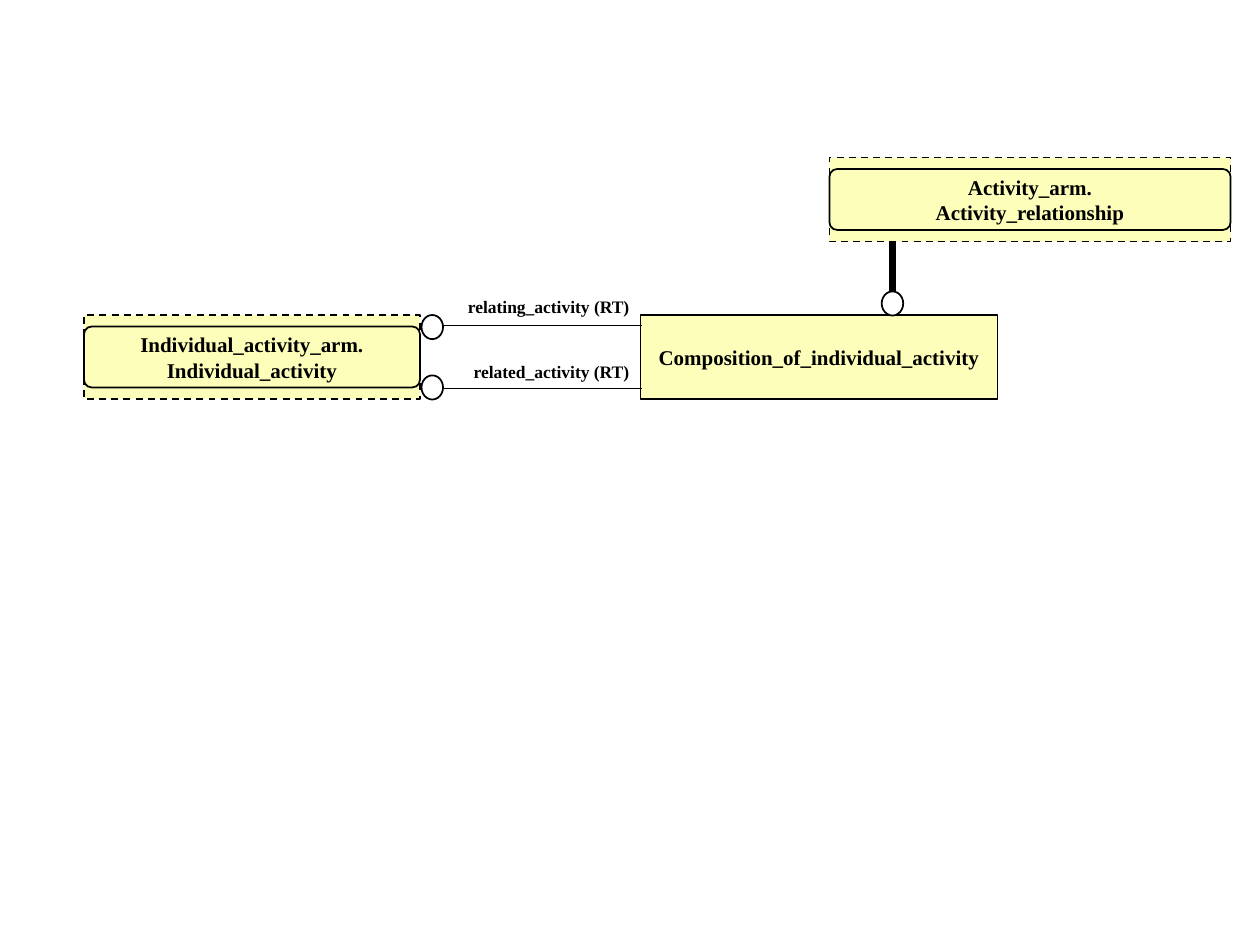
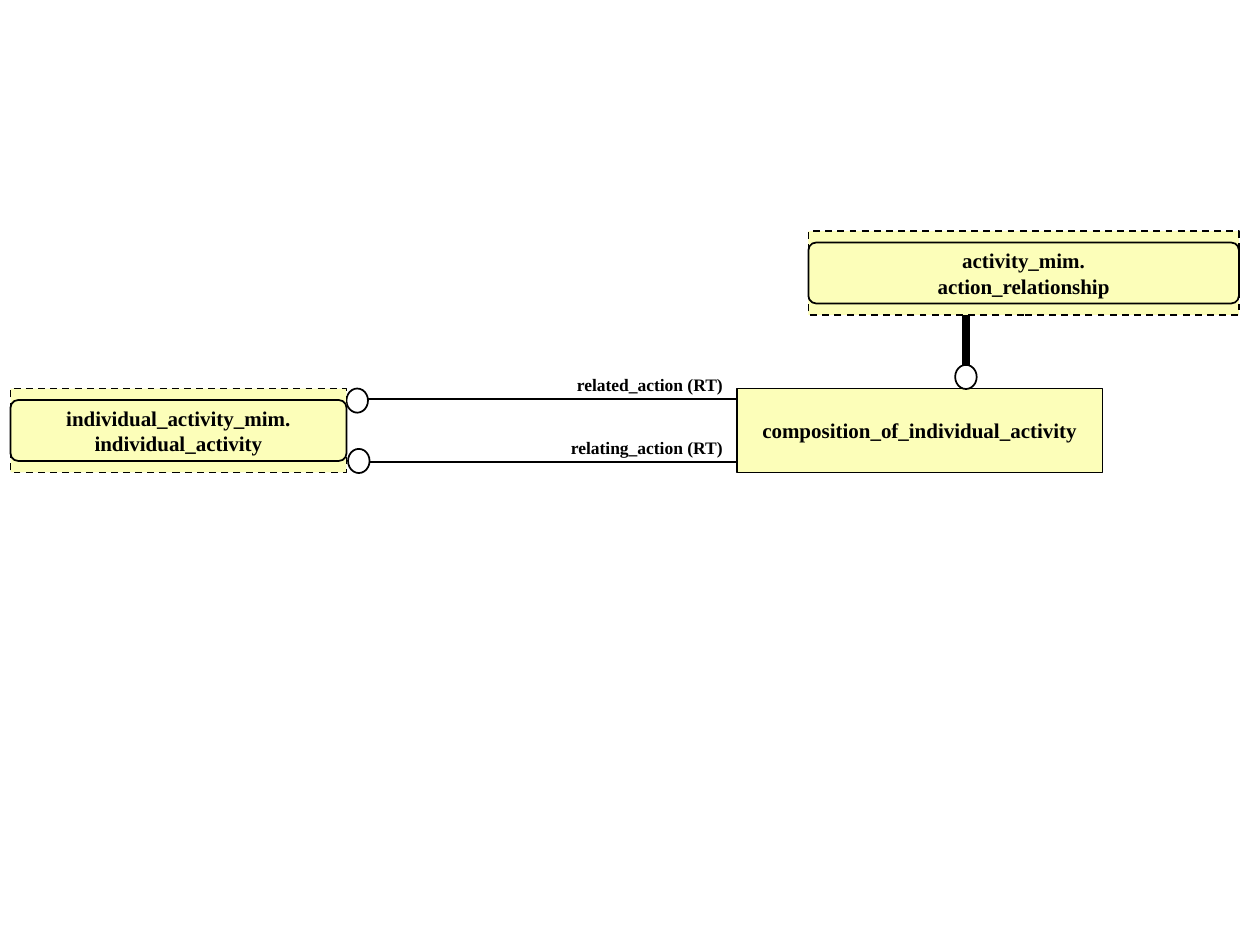
from lxml import etree
from pptx import Presentation, util as u
from pptx.dml.color import RGBColor
from pptx.enum import dml, shapes, text
from pptx.oxml import ns

BLACK = RGBColor(0x00, 0x00, 0x00)
WHITE = RGBColor(0xFF, 0xFF, 0xFF)
CREAM = RGBColor(0xFC, 0xFE, 0xB9)
FONT = "Times New Roman"
COLUMNS, ROWS = 120, 90
BOX_ROWS = 8
FRAME_INSET = 1.1
CIRCLE_COLUMNS, CIRCLE_ROWS = 2.05, 2.3


class Diagram:
    def __init__(self, presentation):
        self.presentation = presentation
        self.column = presentation.slide_width / COLUMNS
        self.row = presentation.slide_height / ROWS
        self.slide = None

    def new_slide(self):
        self.slide = self.presentation.slides.add_slide(self.presentation.slide_layouts[6])

    def area(self, left, top, columns, rows):
        return [u.Emu(round(share * unit)) for share, unit in
                zip((left, top, columns, rows), (self.column, self.row) * 2)]

    def outline(self, parent, kind, area, fill=None, dash=None):
        shape = parent.shapes.add_shape(kind, *self.area(*area))
        shape.shadow.inherit = False
        if fill is None:
            shape.fill.background()
        else:
            shape.fill.solid()
            shape.fill.fore_color.rgb = fill
        shape.line.color.rgb = BLACK
        shape.line.width = u.Pt(1)
        if dash:
            shape.line.dash_style = dash
        return shape

    def set_lines(self, shape, lines, size, alignment, anchor, wrap=False):
        frame = shape.text_frame
        frame.word_wrap = wrap
        frame.vertical_anchor = anchor
        for index, line in enumerate(lines):
            paragraph = frame.add_paragraph() if index else frame.paragraphs[0]
            paragraph.text = line
            paragraph.alignment = alignment
            paragraph.font.name = FONT
            paragraph.font.size = u.Pt(size)
            paragraph.font.bold = True
            paragraph.font.color.rgb = BLACK

    def entity(self, left, top, columns, *lines, parent=None, dash=None):
        shape = self.outline(parent or self.slide, shapes.MSO_SHAPE.RECTANGLE,
                             (left, top, columns, BOX_ROWS), CREAM, dash)
        self.set_lines(shape, lines, 12, text.PP_ALIGN.CENTER, text.MSO_ANCHOR.MIDDLE)

    def external_entity(self, left, top, columns, *lines):
        group = self.slide.shapes.add_group_shape()
        self.entity(left, top, columns, *lines, parent=group, dash=dml.MSO_LINE.DASH)
        frame = self.outline(group, shapes.MSO_SHAPE.ROUNDED_RECTANGLE,
                             (left, top + FRAME_INSET, columns, BOX_ROWS - 2 * FRAME_INSET))
        frame.adjustments[0] = 0.125

    def circle(self, left, top):
        self.outline(self.slide, shapes.MSO_SHAPE.OVAL,
                     (left, top, CIRCLE_COLUMNS, CIRCLE_ROWS), WHITE)

    def line(self, x1, y1, x2, y2, width=1):
        connector = self.slide.shapes.add_connector(
            shapes.MSO_CONNECTOR.STRAIGHT, *self.area(x1, y1, x2, y2))
        connector.line.color.rgb = BLACK
        connector.line.width = u.Pt(width)
        etree.SubElement(connector._element.spPr, ns.qn("a:effectLst"))

    def label(self, right, top, columns, line, wrap):
        box = self.slide.shapes.add_textbox(*self.area(right - columns, top, columns, 3.2))
        self.set_lines(box, [line], 10, text.PP_ALIGN.RIGHT, text.MSO_ANCHOR.TOP, wrap)
        box.text_frame.auto_size = text.MSO_AUTO_SIZE.SHAPE_TO_FIT_TEXT

    def subtype(self, center, top):
        self.line(center, top, center, top + 5, 4.5)
        self.circle(center - CIRCLE_COLUMNS / 2, top + 4.75)

    def relation(self, circle_left, circle_top, start, end, row):
        self.line(start, row, end, row)
        self.circle(circle_left, circle_top)


def main():
    presentation = Presentation()
    presentation.slide_width = u.Inches(10)
    presentation.slide_height = u.Inches(7.5)
    diagram = Diagram(presentation)

    diagram.new_slide()
    diagram.external_entity(8, 30, 32, "Individual_activity_arm.", "Individual_activity")
    diagram.entity(61, 30, 34, "Composition_of_individual_activity")
    diagram.relation(40.15, 30, 42.15, 61.1, 31)
    diagram.relation(40.15, 35.75, 42.15, 61.1, 37)
    diagram.subtype(85, 23)
    diagram.external_entity(79, 15, 38.2, "Activity_arm.", "Activity_relationship")
    diagram.label(61.1, 27.6, 29.6, "relating_activity (RT)", True)
    diagram.label(61.1, 33.8, 17.3, "related_activity (RT)", False)

    diagram.new_slide()
    diagram.entity(70.2, 37, 34.8, "composition_of_individual_activity")
    diagram.relation(33, 37, 35, 70.2, 38)
    diagram.relation(33.15, 42.75, 35, 70.2, 44)
    diagram.label(70, 35, 34, "related_action (RT)", True)
    diagram.label(70, 41, 17, "relating_action (RT)", False)
    diagram.external_entity(1, 37, 32, "individual_activity_mim.", "individual_activity")
    diagram.external_entity(77, 22, 41, "activity_mim.", "action_relationship")
    diagram.subtype(92, 30)

    presentation.save("out.pptx")


if __name__ == "__main__":
    main()
